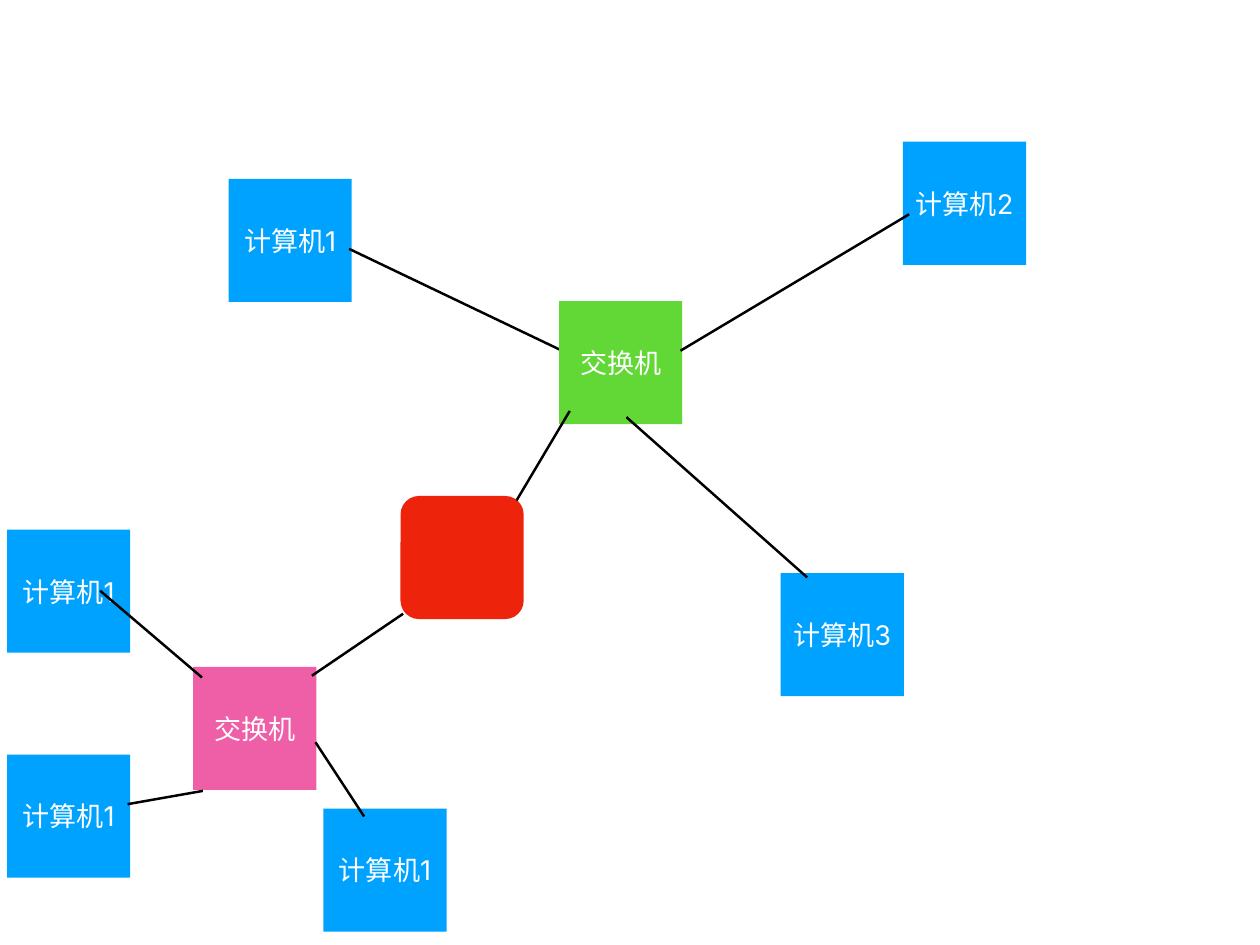
import pptx
import pptx.util
import pptx.dml.color
import pptx.enum.shapes
import pptx.enum.text
import pptx.oxml.ns
import lxml.etree

COLS, ROWS = 14.22, 10.67
SIDE = 1.39
SHAPE = pptx.enum.shapes.MSO_SHAPE
BLUE, GREEN, PINK, RED = "00A2FF", "61D836", "EF5FA7", "EE230C"

deck = pptx.Presentation()
deck.slide_width = pptx.util.Inches(COLS)
deck.slide_height = pptx.util.Inches(ROWS)
slide = deck.slides.add_slide(deck.slide_layouts[6])


def color(code):
    return pptx.dml.color.RGBColor.from_string(code)


def place(box, spot):
    col, row = box[0] + spot[0], box[1] + spot[1]
    return int(deck.slide_width * col / COLS), int(deck.slide_height * row / ROWS)


def node(box, spot, fill, kind=SHAPE.RECTANGLE):
    side = pptx.util.Inches(SIDE)
    shape = slide.shapes.add_shape(kind, *place(box, spot), side, side)
    shape.shadow.inherit = False
    shape.fill.solid()
    shape.fill.fore_color.rgb = color(fill)
    shape.line.fill.background()
    return shape


def label(shape, text):
    frame = shape.text_frame
    frame.word_wrap = True
    frame.vertical_anchor = pptx.enum.text.MSO_ANCHOR.MIDDLE
    inset = pptx.util.Inches(0.06)
    frame.margin_left = frame.margin_right = inset
    frame.margin_top = frame.margin_bottom = inset
    line = frame.paragraphs[0]
    line.text = text
    line.alignment = pptx.enum.text.PP_ALIGN.CENTER
    line.font.name = "Inter"
    line.font.size = pptx.util.Pt(22)
    line.font.color.rgb = color("FFFFFF")


def wire(box, start, end):
    straight = pptx.enum.shapes.MSO_CONNECTOR.STRAIGHT
    link = slide.shapes.add_connector(straight, *place(box, start), *place(box, end))
    link.line.color.rgb = color("000000")
    link.line.width = pptx.util.Pt(2)
    props = link._element.spPr
    lxml.etree.SubElement(props, pptx.oxml.ns.qn("a:effectLst"))


def network(box, hub, fill, hosts, back, front):
    for number, spot in hosts:
        label(node(box, spot, BLUE), f"计算机{number}")
    for ends in back:
        wire(box, *ends)
    label(node(box, hub, fill), "交换机")
    for ends in front:
        wire(box, *ends)


def router(box, spot, wires):
    shape = node(box, spot, RED, SHAPE.ROUNDED_RECTANGLE)
    shape.adjustments[0] = 0.15
    for ends in wires:
        wire(box, *ends)


network(
    (2.5, 1.5), (3.81, 1.9), GREEN,
    hosts=[(1, (0.08, 0.52)), (2, (7.69, 0.1)), (3, (6.31, 4.97))],
    back=[((1.44, 1.31), (3.99, 2.53))],
    front=[((7.76, 0.92), (5.18, 2.46)), ((6.61, 5.02), (4.57, 3.21))],
)
network(
    (0, 5.5), (2.18, 2.03), PINK,
    hosts=[(1, (0.08, 0.48)), (1, (0.08, 3.02)), (1, (3.65, 3.63))],
    back=[],
    front=[
        ((1.13, 1.17), (2.28, 2.15)),
        ((1.44, 3.58), (2.29, 3.43)),
        ((4.11, 3.72), (3.56, 2.88)),
    ],
)
router(
    (3.5, 4.5), (1.02, 1.1),
    [((2.33, 1.15), (2.93, 0.14)), ((0.02, 3.13), (1.05, 2.43))],
)

deck.save("out.pptx")
